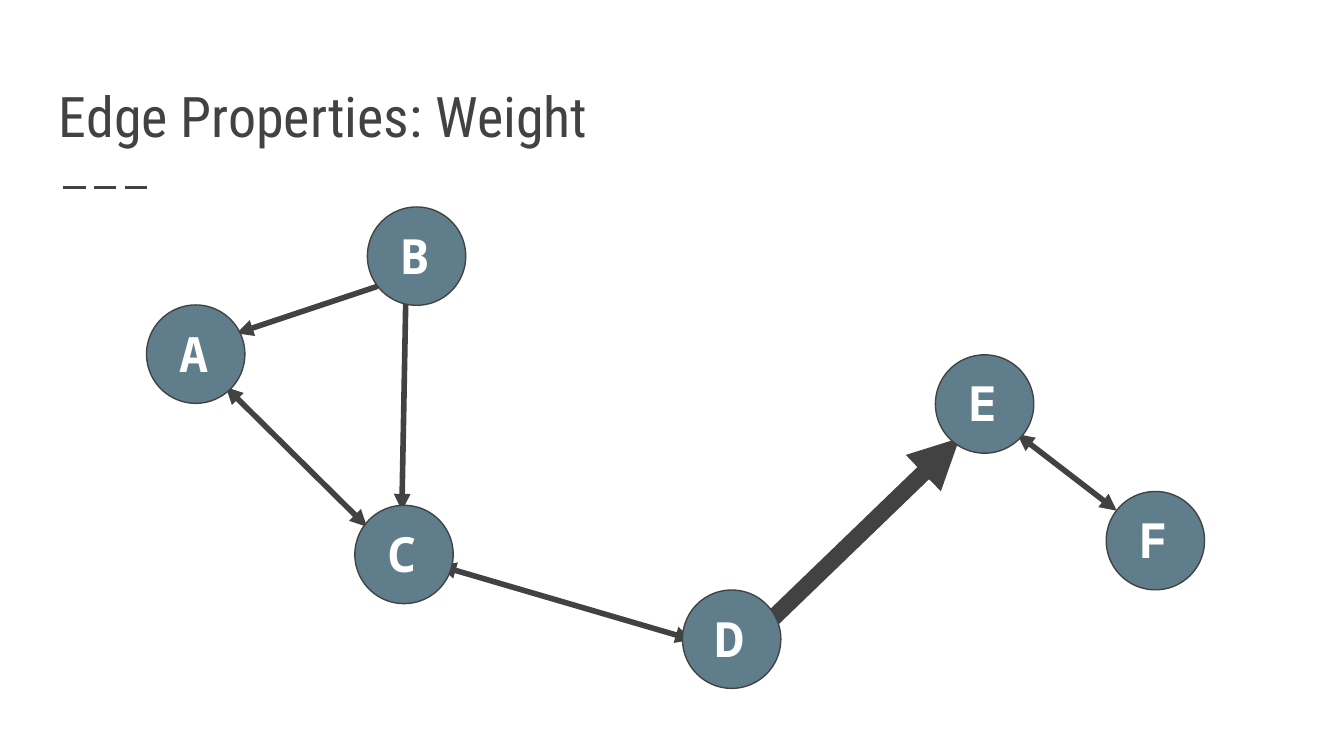
from lxml import etree
from pptx import Presentation
from pptx.dml.color import RGBColor
from pptx.enum import dml, shapes, text
from pptx.oxml import ns
from pptx.util import Pt

# Content
TITLE = "Edge Properties: Weight"
NODES = {  # left, top of each circle
    "A": (78.5, 163.4), "B": (196.8, 110.9), "C": (190.1, 270.7),
    "D": (365.6, 316.1), "E": (501.1, 190.1), "F": (592.6, 263.3),
}
EDGES = [  # start, end, weight, two-way
    ((202.3, 153.4), (126.7, 178.6), 3, False),  # B to A
    ((121, 207.4), (196.6, 282.2), 3, True),  # A and C
    ((235.4, 303.1), (370.8, 342.7), 3, True),  # C and D
    ((217.4, 159.8), (215.3, 273.6), 3, False),  # B to C
    ((412.6, 332.6), (514.1, 234.7), 9, False),  # D to E
    ((545, 232.6), (598.3, 273.6), 3, True),  # E and F
]

# Style
DARK, NODE_FILL, WHITE = "424242", "607D8B", "FFFFFF"
DIAMETER = 52.7
LABEL_WIDTH, LABEL_HEIGHT = 30.2, 47.2


def color(hex_string):
    return RGBColor.from_string(hex_string)


def add_text(parent, content, box, size, font_name, hex_string, bold, anchor):
    frame = parent.shapes.add_textbox(*map(Pt, box)).text_frame
    frame.word_wrap = True
    frame.vertical_anchor = anchor
    frame.margin_left = frame.margin_right = Pt(7.2)
    frame.margin_top = frame.margin_bottom = Pt(7.2)
    frame.text = content
    font = frame.paragraphs[0].runs[0].font
    font.name, font.size, font.bold = font_name, Pt(size), bold
    font.color.rgb = color(hex_string)


def add_line(slide, start, end, width, arrow_ends=()):
    connector = slide.shapes.add_connector(
        shapes.MSO_CONNECTOR.STRAIGHT, *map(Pt, start + end))
    connector.line.width = Pt(width)
    connector.line.color.rgb = color(DARK)
    outline = connector.line._get_or_add_ln()
    for tag in arrow_ends:
        etree.SubElement(outline, ns.qn(tag), type="triangle")
    etree.SubElement(connector._element.spPr, ns.qn("a:effectLst"))
    return connector


def add_node(slide, name, left, top):
    group = slide.shapes.add_group_shape()
    circle = group.shapes.add_shape(
        shapes.MSO_SHAPE.OVAL, *map(Pt, (left, top, DIAMETER, DIAMETER)))
    circle.shadow.inherit = False
    circle.fill.solid()
    circle.fill.fore_color.rgb = color(NODE_FILL)
    circle.line.color.rgb = color(DARK)
    circle.line.width = Pt(0.75)
    label_box = (left + 10.3, top + (DIAMETER - LABEL_HEIGHT) / 2,
                 LABEL_WIDTH, LABEL_HEIGHT)
    add_text(group, name, label_box, 26, "Noto Sans Mono", WHITE, True,
             text.MSO_ANCHOR.TOP)


presentation = Presentation()
presentation.slide_width, presentation.slide_height = Pt(720), Pt(405)
slide = presentation.slides.add_slide(presentation.slide_layouts[6])

# Title and dashed rule
rule = add_line(slide, (33.8, 100.3), (82.2, 100.3), 1.5)
rule.line.dash_style = dml.MSO_LINE.LONG_DASH
add_text(slide, TITLE, (24.5, 29.5, 671, 57.6), 30, "Roboto Condensed",
         DARK, False, text.MSO_ANCHOR.BOTTOM)

# Edges lie behind the nodes
for start, end, weight, two_way in EDGES:
    arrow_ends = ("a:headEnd", "a:tailEnd") if two_way else ("a:tailEnd",)
    add_line(slide, start, end, weight, arrow_ends)

for name, (left, top) in NODES.items():
    add_node(slide, name, left, top)

presentation.save("out.pptx")
